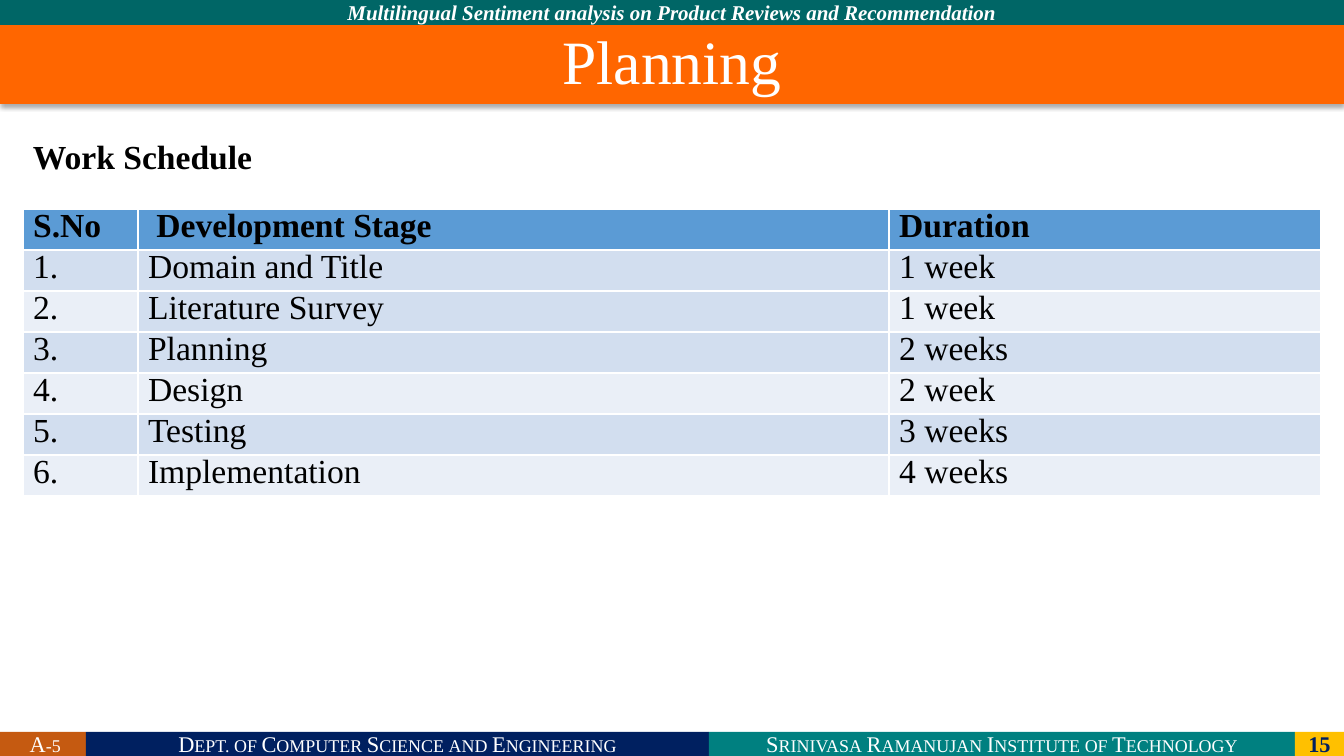
"""Build the project planning slide with its work schedule table."""
from dataclasses import dataclass
from itertools import pairwise

from lxml import etree
from pptx import Presentation
from pptx import util as u
from pptx.dml.color import RGBColor
from pptx.enum import shapes, text
from pptx.oxml.ns import qn

TITLE = "Planning"
TOPIC = "Multilingual Sentiment analysis on Product Reviews and Recommendation"
HEADING = "Work Schedule"
ROWS = [
    ("S.No", " Development Stage", "Duration"),
    ("1.", "Domain and Title", "1 week"),
    ("2.", "Literature Survey", "1 week"),
    ("3.", "Planning", "2 weeks"),
    ("4.", "Design", "2 week"),
    ("5.", "Testing", "3 weeks"),
    ("6.", "Implementation", "4 weeks"),
]


@dataclass(frozen=True)
class Theme:
    font: str = "Times New Roman"
    white: str = "FFFFFF"
    black: str = "000000"
    navy: str = "002060"
    teal: str = "008080"
    pine: str = "006666"
    gold: str = "FFC000"
    rust: str = "C55A11"
    orange: str = "FF6600"
    head: str = "5B9BD5"
    odd: str = "D2DEEF"
    even: str = "EAEFF7"
    big: int = 44
    body: int = 24
    foot: int = 16
    top: int = 15


T = Theme()
FOOTER = [
    (" A-5", T.rust, {"small": True}),
    ("Dept. of Computer Science and Engineering", T.navy, {"small": True}),
    ("Srinivasa Ramanujan Institute of Technology", T.teal, {"small": True}),
    ("15", T.gold, {"color": T.navy, "bold": True}),
]
EDGES = [0, 86, 709, 1295, 1344]
WIDE, HIGH = 1344, 756
COLS = [115, 751, 432]
ROW = 41
LEFT = {"align": text.PP_ALIGN.JUSTIFY, "spacing": 0.8, "before": 10}


def px(n):
    return u.Emu(round(n * 914400 / 100.8))


def box(x, y, w, h):
    return [px(n) for n in (x, y, w, h)]


def paint(item, color):
    item.fill.solid()
    item.fill.fore_color.rgb = RGBColor.from_string(color)


def write(frame, words, size=T.body, color=T.black, bold=False, italic=False,
          small=False, align=text.PP_ALIGN.CENTER, spacing=None, before=None):
    para = frame.paragraphs[0]
    para.alignment = align
    if spacing:
        para.line_spacing = spacing
    if before:
        para.space_before = u.Pt(before)
    run = para.add_run()
    run.text = words
    font = run.font
    font.name, font.size, font.bold, font.italic = T.font, u.Pt(size), bold, italic
    font.color.rgb = RGBColor.from_string(color)
    if small:
        run._r.get_or_add_rPr().set("cap", "small")


def add_bar(slide, place, fill, words, **form):
    bar = slide.shapes.add_shape(shapes.MSO_SHAPE.RECTANGLE, *place)
    bar.shadow.inherit = False
    bar.line.fill.background()
    paint(bar, fill)
    frame = bar.text_frame
    frame.word_wrap = True
    frame.vertical_anchor = text.MSO_ANCHOR.MIDDLE
    frame.margin_top = frame.margin_bottom = frame.margin_left = frame.margin_right = 0
    write(frame, words, **form)


def add_title(slide):
    title = slide.shapes.title
    title.left, title.top, title.width, title.height = box(0, 25, WIDE, 79)
    paint(title, T.orange)
    frame = title.text_frame
    frame.auto_size = text.MSO_AUTO_SIZE.NONE
    frame.vertical_anchor = text.MSO_ANCHOR.MIDDLE
    write(frame, TITLE, size=T.big, color=T.white, spacing=0.9)
    effects = etree.SubElement(title._element.spPr, qn("a:effectLst"))
    shade = etree.SubElement(effects, qn("a:outerShdw"), blurRad=str(u.Pt(3.5)),
                             dist=str(u.Pt(2.2)), dir="5400000", algn="t", rotWithShape="0")
    tint = etree.SubElement(shade, qn("a:srgbClr"), val=T.black)
    etree.SubElement(tint, qn("a:alpha"), val="32000")


def add_schedule(slide):
    place = box(23, 209, sum(COLS), ROW * len(ROWS))
    table = slide.shapes.add_table(len(ROWS), len(COLS), *place).table
    for col, width in zip(table.columns, COLS):
        col.width = px(width)
    for r, row in enumerate(ROWS):
        table.rows[r].height = px(ROW)
        for c, words in enumerate(row):
            cell = table.cell(r, c)
            band = T.odd if r % 2 or (r, c) == (2, 1) else T.even
            paint(cell, band if r else T.head)
            write(cell.text_frame, words, bold=r == 0, **LEFT)


def main():
    deck = Presentation()
    deck.slide_width, deck.slide_height = px(WIDE), px(HIGH)
    slide = deck.slides.add_slide(deck.slide_layouts[5])
    add_title(slide)
    add_bar(slide, box(0, 0, WIDE, 25), T.pine, TOPIC,
            size=T.top, color=T.white, bold=True, italic=True)
    for (start, end), (words, fill, form) in zip(pairwise(EDGES), FOOTER):
        add_bar(slide, box(start, 732, end - start, 24), fill, words,
                **{"size": T.foot, "color": T.white, **form})
    add_schedule(slide)
    heading = slide.shapes.add_textbox(*box(23, 139, 681, 42)).text_frame
    heading.word_wrap = True
    write(heading, HEADING, bold=True, **LEFT)
    deck.save("out.pptx")


if __name__ == "__main__":
    main()
